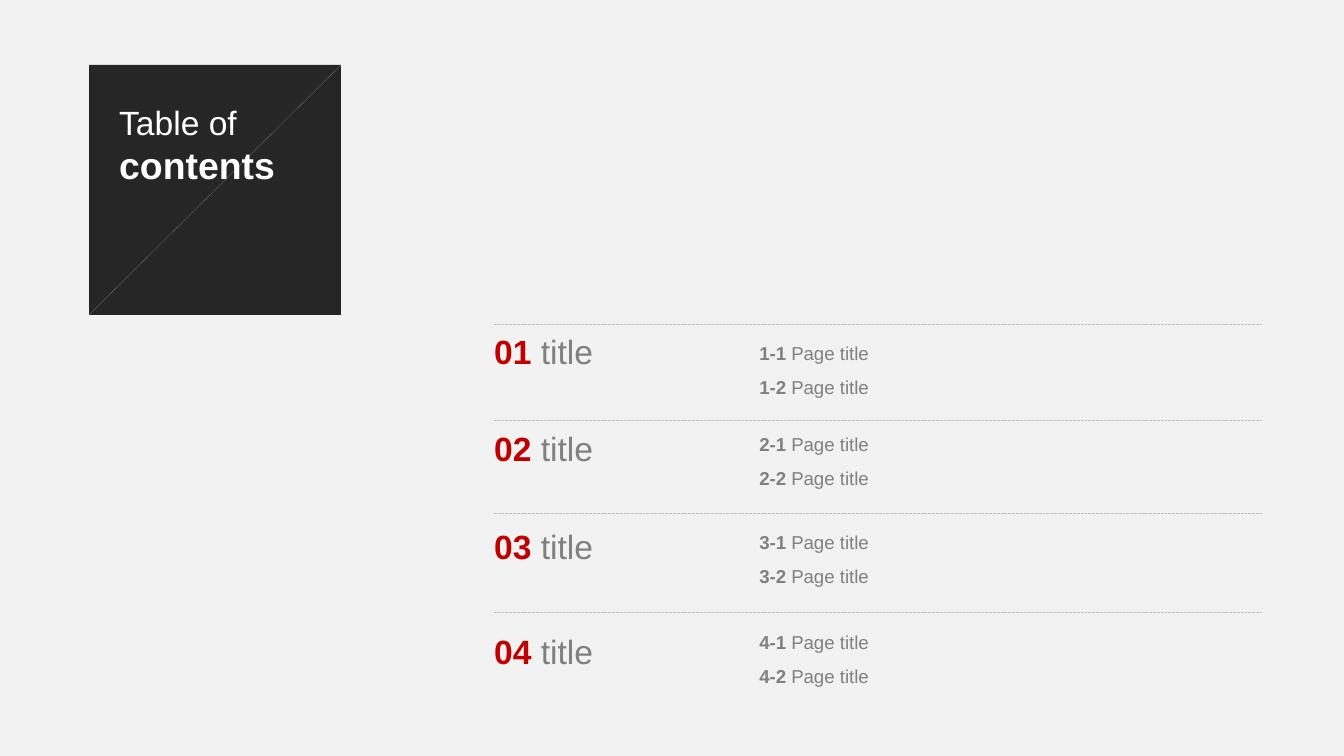
from pptx import Presentation
from pptx.dml.color import RGBColor
from pptx.enum.dml import MSO_LINE
from pptx.enum.shapes import MSO_CONNECTOR, MSO_SHAPE
from pptx.enum.text import MSO_AUTO_SIZE
from pptx.oxml.ns import qn
from pptx.util import Emu, Pt
from lxml import etree

RECT = MSO_SHAPE.RECTANGLE
LINE = MSO_CONNECTOR.STRAIGHT
DASH = MSO_LINE.SQUARE_DOT
GROW = MSO_AUTO_SIZE.SHAPE_TO_FIT_TEXT
SCALE = 914400 / 134.4
FONT = "Arial"
WHITE, DARK, PALE = "FFFFFF", "262626", "F2F2F2"
GRAY, RED, RULE = "808080", "C00000", "BFBFBF"
ROWS = [(324, 324, 324), (421, 421, 415), (513, 519, 513), (613, 624, 613)]


def px(num):
    """Turn pixels into EMU."""
    return Emu(round(num * SCALE))


def color(code):
    """Turn a hex string into a colour."""
    return RGBColor.from_string(code)


def add_box(slide, left, top, width, height, fill):
    """Draw a plain filled rectangle."""
    box = slide.shapes.add_shape(RECT, px(left), px(top), px(width), px(height))
    box.shadow.inherit = False
    box.fill.solid()
    box.fill.fore_color.rgb = color(fill)
    box.line.fill.background()


def add_line(slide, start, end, tint, weight, dash=None):
    """Draw a straight line between two points."""
    line = slide.shapes.add_connector(LINE, *map(px, start + end))
    line.line.color.rgb = color(tint)
    line.line.width = Pt(weight)
    if dash is not None:
        line.line.dash_style = dash
    etree.SubElement(line._element.spPr, qn("a:effectLst"))


def add_text(slide, left, top, width, height, wrap=False):
    """Add an empty text box and return its frame."""
    box = slide.shapes.add_textbox(px(left), px(top), px(width), px(height))
    frame = box.text_frame
    frame.word_wrap = wrap
    if not wrap:
        frame.auto_size = GROW
    return frame


def add_run(para, text, size, tint, bold=False):
    """Append a styled run to a paragraph."""
    para.font.name = FONT
    run = para.add_run()
    run.text = text
    run.font.size = Pt(size)
    run.font.bold = bold
    run.font.color.rgb = color(tint)


def add_title(slide):
    """Draw the dark square with the slide title."""
    add_box(slide, 89, 65, 252, 250, DARK)
    add_line(slide, (89, 315), (341, 65), GRAY, 0.1)
    para = add_text(slide, 106, 95, 215, 126, wrap=True).paragraphs[0]
    add_run(para, "Table of ", 18, WHITE)
    para.add_line_break()
    add_run(para, "contents", 20, WHITE, True)


def add_row(slide, num, rule, head, sub):
    """Draw one chapter with its rule, heading and pages."""
    add_line(slide, (494, rule), (1262, rule), RULE, 0.5, DASH)
    para = add_text(slide, 481, head, 128, 54).paragraphs[0]
    add_run(para, f"{num:02}", 18, RED, True)
    add_run(para, " title", 18, GRAY)
    frame = add_text(slide, 746, sub, 137, 82)
    for page in (1, 2):
        para = frame.paragraphs[0] if page == 1 else frame.add_paragraph()
        para.line_spacing = 1.5
        add_run(para, f"{num}-{page} ", 10, GRAY, True)
        add_run(para, "Page title", 10, GRAY)


def main():
    """Build and save the slide."""
    deck = Presentation()
    deck.slide_width, deck.slide_height = px(1344), px(756)
    slide = deck.slides.add_slide(deck.slide_layouts[6])
    back = slide.background.fill
    back.solid()
    back.fore_color.rgb = color(PALE)
    add_title(slide)
    for num, row in enumerate(ROWS, 1):
        add_row(slide, num, *row)
    deck.save("out.pptx")


if __name__ == "__main__":
    main()
